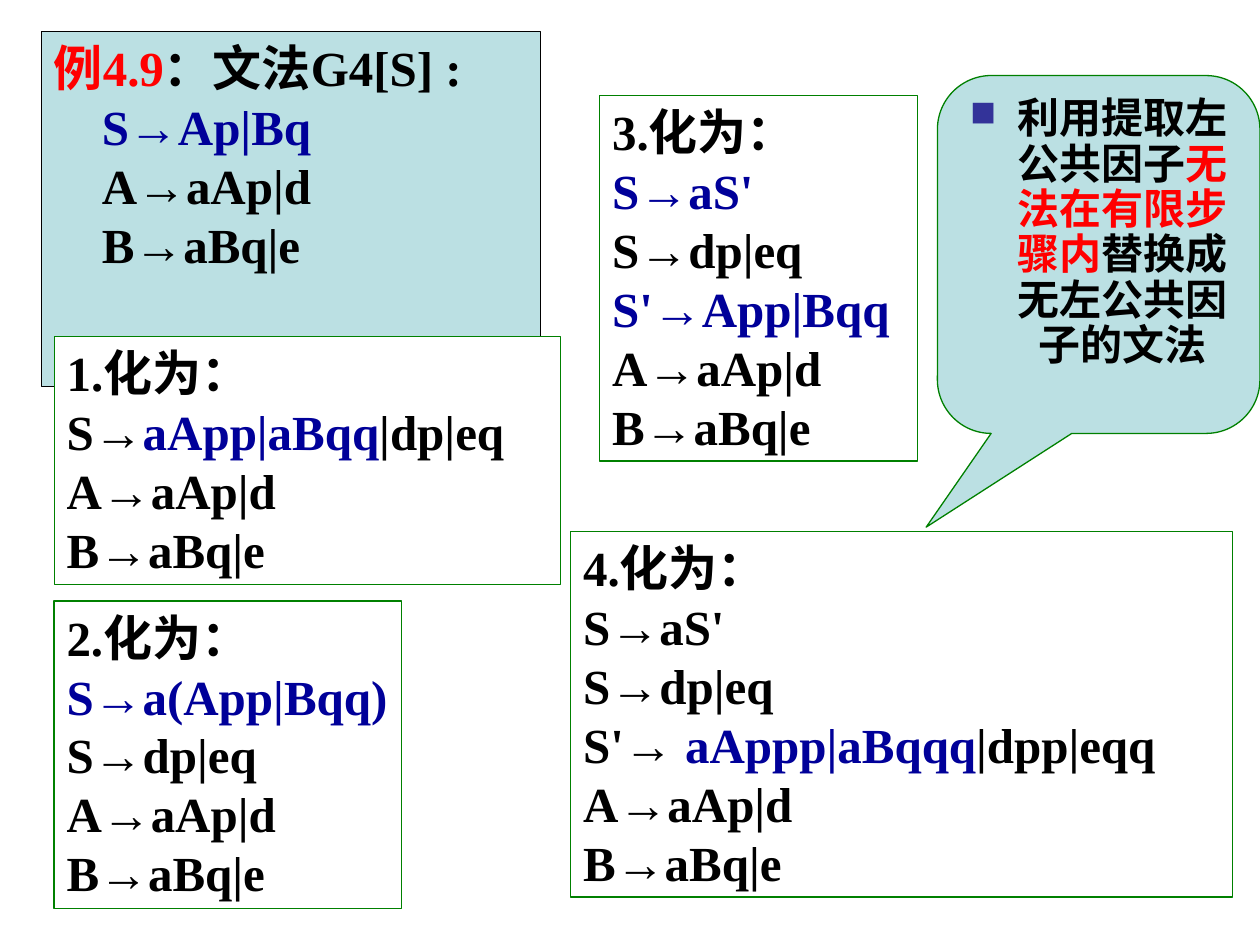
from lxml.etree import SubElement
from pptx import Presentation
from pptx.dml.color import RGBColor
from pptx.enum.shapes import MSO_SHAPE as Shape
from pptx.enum.text import MSO_ANCHOR as Anchor, MSO_AUTO_SIZE as AutoSize, PP_ALIGN as Align
from pptx.oxml.ns import qn
from pptx.util import Pt

BLACK = RGBColor(0x00, 0x00, 0x00)
WHITE = RGBColor(0xFF, 0xFF, 0xFF)
RED = RGBColor(0xFF, 0x00, 0x00)
NAVY = RGBColor(0x00, 0x00, 0x99)
GREEN = RGBColor(0x00, 0x80, 0x00)
PALE_TEAL = RGBColor(0xBB, 0xE0, 0xE3)
HANG = Pt(27.36)

prs = Presentation()
prs.slide_width, prs.slide_height = Pt(720), Pt(540)
slide = prs.slides.add_slide(prs.slide_layouts[6])


def add_panel(kind, place, fill, line):
    panel = slide.shapes.add_shape(kind, *[Pt(length) for length in place])
    panel.shadow.inherit = False
    panel.fill.solid()
    panel.fill.fore_color.rgb = fill
    panel.line.color.rgb = line
    panel.line.width = Pt(0.75)
    panel.text_frame.word_wrap = True
    panel.text_frame.vertical_anchor = Anchor.TOP
    return panel


def add_runs(paragraph, runs, size, font_name):
    """Write coloured bold runs; a newline becomes a line break."""
    for text, color in runs:
        for index, line in enumerate(text.split("\n")):
            if index:
                paragraph.add_line_break()
            if line:
                run = paragraph.add_run()
                run.text = line
                run.font.size = Pt(size)
                run.font.name = font_name
                run.font.bold = True
                run.font.color.rgb = color


# Example grammar
grammar = add_panel(Shape.RECTANGLE, (23.76, 18, 285.12, 203.04), PALE_TEAL, BLACK)
rules = grammar.text_frame.paragraphs[0]
rules.alignment = Align.LEFT
rules_format = rules._p.get_or_add_pPr()
rules_format.set("marL", str(HANG))
rules_format.set("indent", str(-HANG))
add_runs(rules, [("例4.9", RED), ("：文法G4[S] :\n", BLACK), ("S→Ap|Bq\n", NAVY),
                 ("A→aAp|d\nB→aBq|e", BLACK)], 28, "Times New Roman")

# Rewriting steps: place, then paragraphs of (text, colour) runs
LAST_RULES = "A→aAp|d\nB→aBq|e"
steps = [
    ((30.96, 192.24, 289.44, 141.84), [
        [("1.化为：\nS→", BLACK), ("aApp|aBqq", NAVY), ("|dp|eq\n" + LAST_RULES, BLACK)],
    ]),
    ((30.96, 343.44, 198.72, 175.68), [
        [("2.化为：", BLACK)],
        [("S→a(App|Bqq)\n", NAVY), ("S→dp|eq", BLACK)],
        [(LAST_RULES, BLACK)],
    ]),
    ((342.72, 54.72, 181.44, 208.8), [
        [("3.化为：", BLACK)],
        [("S→aS'", NAVY)],
        [("S→dp|eq", BLACK)],
        [("S'→App|Bqq\n", NAVY), (LAST_RULES, BLACK)],
    ]),
    ((326.16, 303.84, 378, 208.8), [
        [("4.化为：", BLACK)],
        [("S→aS'", BLACK)],
        [("S→dp|eq", BLACK)],
        [("S'→ ", BLACK), ("aAppp|aBqqq", NAVY), ("|dpp|eqq\n" + LAST_RULES, BLACK)],
    ]),
]
for place, paragraphs in steps:
    step = add_panel(Shape.RECTANGLE, place, WHITE, GREEN)
    frame = step.text_frame
    frame.auto_size = AutoSize.SHAPE_TO_FIT_TEXT
    for index, runs in enumerate(paragraphs):
        paragraph = frame.add_paragraph() if index else frame.paragraphs[0]
        paragraph.alignment = Align.LEFT
        add_runs(paragraph, runs, 28, "Times New Roman")

# Conclusion callout
conclusion = add_panel(Shape.ROUNDED_RECTANGULAR_CALLOUT,
                       (535.68, 43.2, 184.32, 204.48), PALE_TEAL, GREEN)
for index, value in enumerate((-0.535, 0.762, 0.167)):
    conclusion.adjustments[index] = value
remark = conclusion.text_frame.paragraphs[0]
remark.alignment = Align.CENTER
remark.line_spacing = 0.9
remark_format = remark._p.get_or_add_pPr()
remark_format.set("marL", str(HANG))
remark_format.set("indent", str(-HANG))
bullet_color = SubElement(remark_format, qn("a:buClr"))
SubElement(bullet_color, qn("a:srgbClr"), val="333399")
SubElement(remark_format, qn("a:buSzPct"), val="85000")
SubElement(remark_format, qn("a:buChar"), char="■")
add_runs(remark, [("利用提取左公共因子", BLACK), ("无法在有限步骤内", RED),
                  ("替换成无左公共因子的文法", BLACK)], 24, "Arial")

prs.save("out.pptx")
